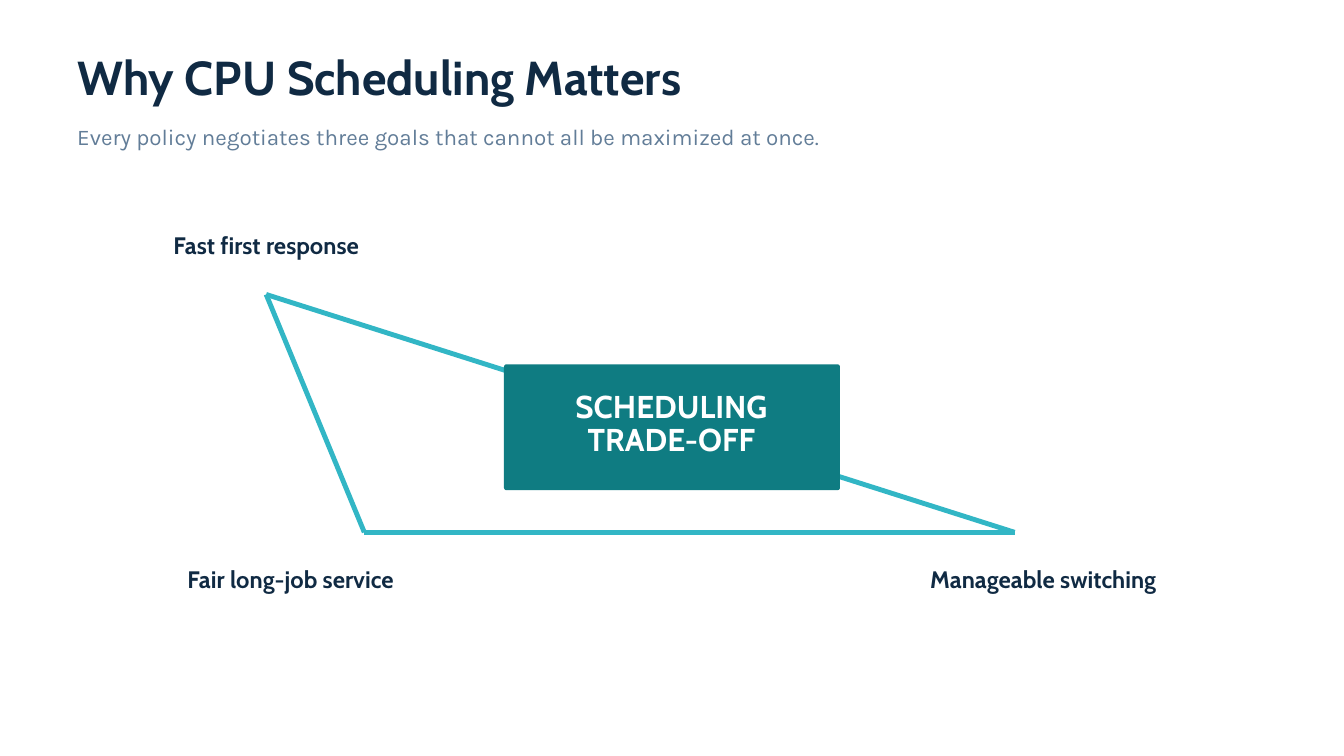
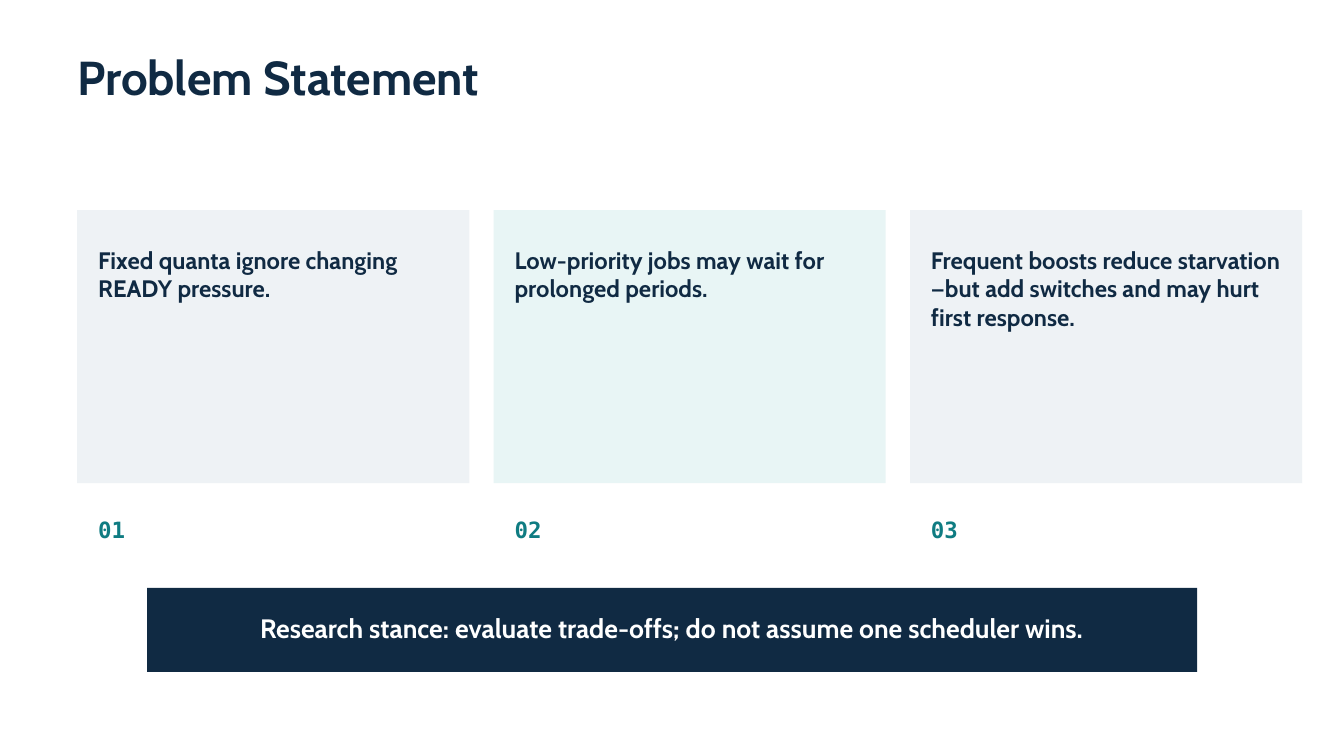
from lxml import etree
from pptx import Presentation
from pptx import util as u
from pptx.dml.color import RGBColor
from pptx.enum import shapes, text
from pptx.oxml.ns import qn

NAVY = RGBColor(0x10, 0x2A, 0x43)
SLATE = RGBColor(0x62, 0x7D, 0x98)
TEAL = RGBColor(0x0F, 0x7C, 0x82)
AQUA = RGBColor(0x32, 0xB6, 0xC5)
MIST = RGBColor(0xEE, 0xF2, 0xF5)
MINT = RGBColor(0xE8, 0xF5, 0xF5)
WHITE = RGBColor(0xFF, 0xFF, 0xFF)

HEAD, BODY, MONO = "Cabin", "Karla", "DejaVu Sans Mono"
LEFT = 2.92  # shared left margin, cm


class Deck:
    """Holds the style and the current slide; lengths are in cm."""

    def __init__(self):
        self.prs = Presentation()
        self.prs.slide_width = u.Cm(50.8)
        self.prs.slide_height = u.Cm(50.8) * 9 // 16
        self.slide = None

    def page(self, title, sub=None):
        self.slide = self.prs.slides.add_slide(self.prs.slide_layouts[6])
        fill = self.slide.background.fill
        fill.solid()
        fill.fore_color.rgb = WHITE
        self.words(title, LEFT, 2.01, 44.98, 1.98, 51, 55.1)
        if sub:
            self.words(sub, LEFT, 4.55, 41.02, 1.07, 24, 31.2,
                       color=SLATE, font=BODY, bold=False)

    def words(self, copy, x, y, w, h, size, lead,
              color=NAVY, font=HEAD, bold=True, mid=False):
        box = self.slide.shapes.add_textbox(*map(u.Cm, (x, y, w, h)))
        frame = box.text_frame
        frame.word_wrap = True
        frame.auto_size = text.MSO_AUTO_SIZE.SHAPE_TO_FIT_TEXT
        frame.margin_left = frame.margin_right = 0
        frame.margin_top = frame.margin_bottom = 0
        for i, line in enumerate(copy.split("\n")):
            para = frame.add_paragraph() if i else frame.paragraphs[0]
            para.line_spacing = u.Pt(lead)
            if mid:
                para.alignment = text.PP_ALIGN.CENTER
            run = para.add_run()
            run.text = line
            run.font.name, run.font.size = font, u.Pt(size)
            run.font.bold, run.font.color.rgb = bold, color

    def panel(self, x, y, w, h, color, bend=0):
        kind = shapes.MSO_SHAPE
        form = kind.ROUNDED_RECTANGLE if bend else kind.RECTANGLE
        box = self.slide.shapes.add_shape(form, *map(u.Cm, (x, y, w, h)))
        if bend:
            box.adjustments[0] = bend
        box.shadow.inherit = False
        box.fill.solid()
        box.fill.fore_color.rgb = color
        box.line.fill.background()

    def line(self, start, end):
        link = self.slide.shapes.add_connector(
            shapes.MSO_CONNECTOR.STRAIGHT, *map(u.Cm, start + end))
        link.line.color.rgb = AQUA
        link.line.width = u.Pt(5.25)
        etree.SubElement(link._element.spPr, qn("a:effectLst"))


def goals(deck):
    deck.page("Why CPU Scheduling Matters",
              "Every policy negotiates three goals that cannot all be "
              "maximized at once.")
    # Triangle of goals
    fast, fair, swap = (10.06, 11.13), (13.77, 20.12), (38.35, 20.12)
    for start, end in ((fast, fair), (fair, swap), (swap, fast)):
        deck.line(start, end)
    deck.panel(19.05, 13.77, 12.7, 4.76, TEAL, bend=0.02)
    # Corner labels
    for name, x, y, w in (("Fast first response", 4.5, 8.53, 11.13),
                          ("Fair long-job service", 4.37, 21.18, 13.23),
                          ("Manageable switching", 32.82, 21.18, 13.23)):
        deck.words(name, x, y, w, 1.17, 25.5, 35.7, mid=True)
    deck.words("SCHEDULING\nTRADE-OFF", 19.3, 14.81, 12.17, 2.54,
               33.8, 35.4, color=WHITE, mid=True)


def problem(deck):
    deck.page("Problem Statement")
    # Numbered cards
    wide, gap, pad = 14.82, 0.92, 0.79
    cards = (("Fixed quanta ignore changing READY pressure.", MIST, 2.11),
             ("Low-priority jobs may wait for prolonged periods.", MINT, 2.11),
             ("Frequent boosts reduce starvation—but add switches and may "
              "hurt first response.", MIST, 3.15))
    for i, (claim, color, high) in enumerate(cards):
        x = LEFT + i * (wide + gap)
        deck.panel(x, 7.94, wide, 10.32, color)
        deck.words(claim, x + pad, 9.27, 13.23, high, 25.5, 30.6)
        deck.words(f"{i + 1:02}", x + pad, 19.35, 2.64, 1.09, 24, 33.6,
                   color=TEAL, font=MONO)
    # Closing band
    deck.panel(5.56, 22.22, 39.69, 3.18, NAVY)
    deck.words("Research stance: evaluate trade-offs; do not assume one "
               "scheduler wins.", 6.6, 22.91, 37.57, 1.3, 28.5, 39.9,
               color=WHITE, mid=True)


def main():
    deck = Deck()
    goals(deck)
    problem(deck)
    deck.prs.save("out.pptx")


if __name__ == "__main__":
    main()
